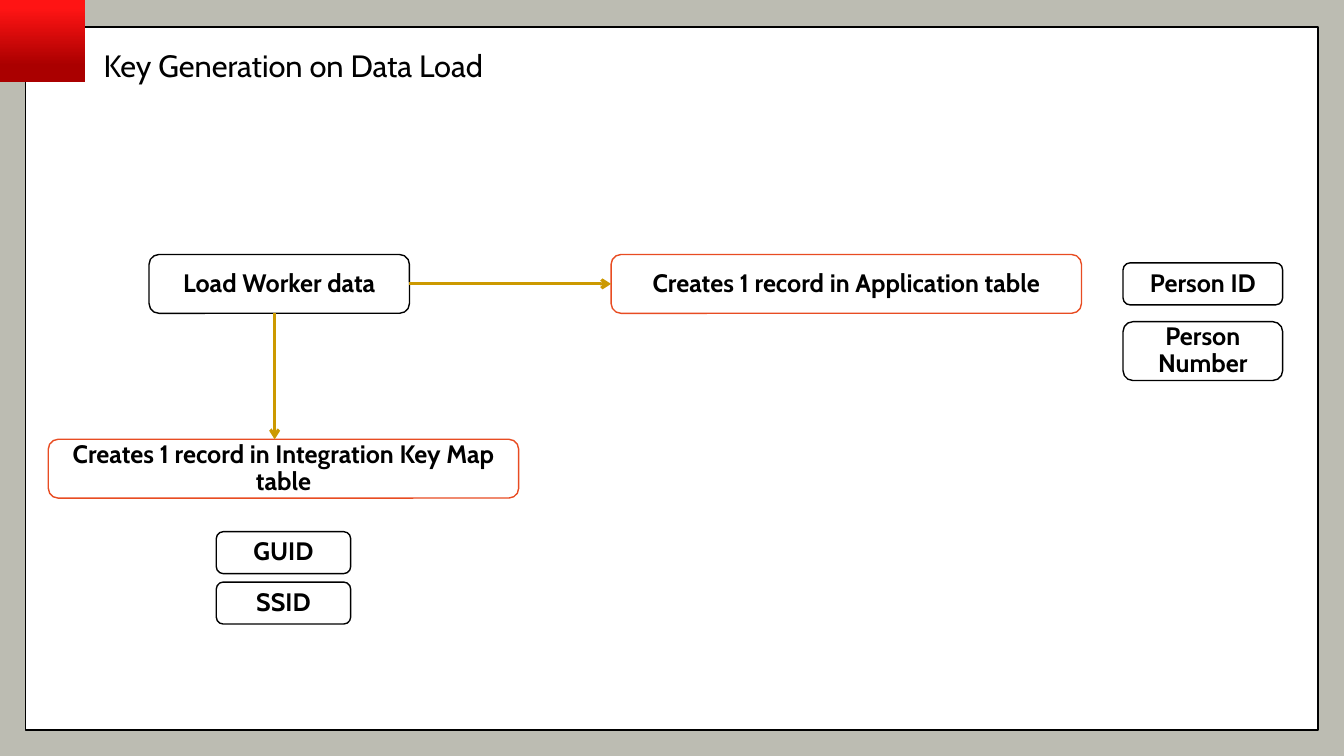
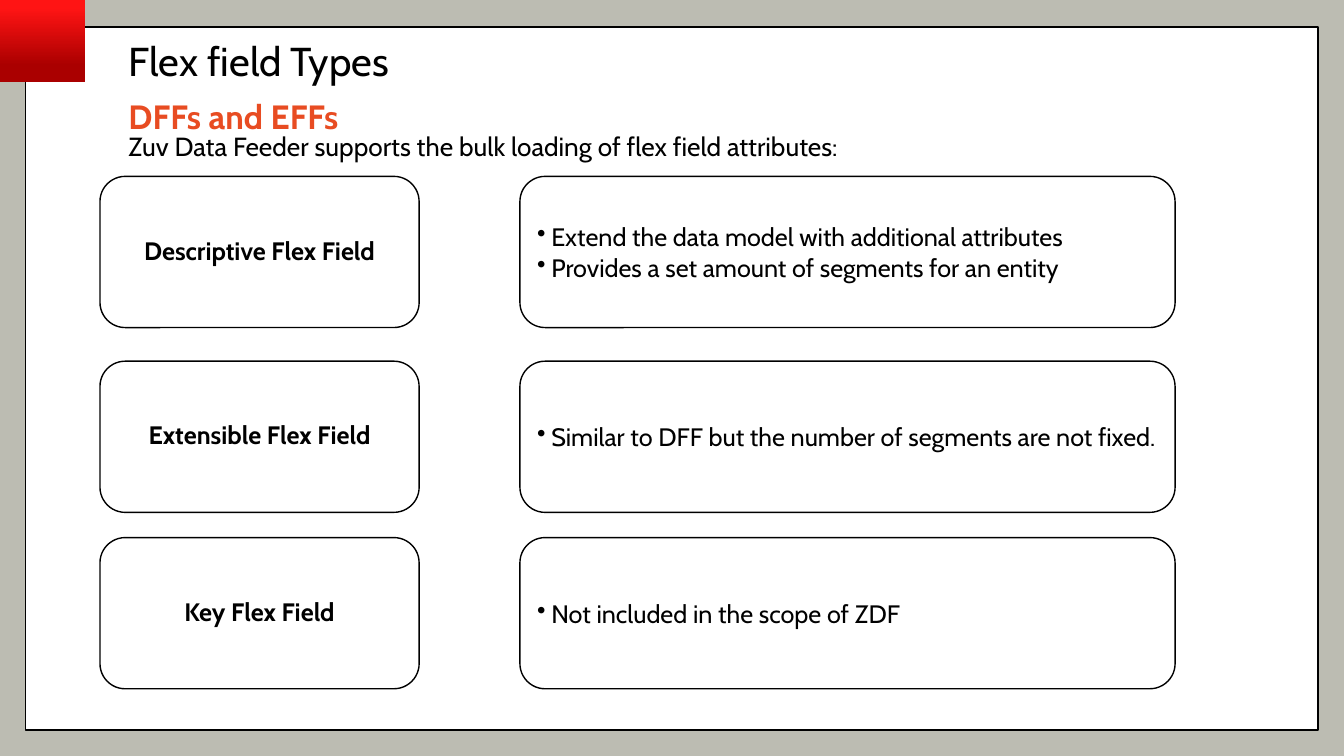
from dataclasses import dataclass

from pptx import Presentation, util as u
from pptx.dml.color import RGBColor
from pptx.enum import shapes, text
from pptx.oxml.ns import qn
from lxml import etree

# The slide is a grid of 160 columns by 90 rows, twelve to the inch.
COLS, ROWS = 160, 90
FONT = "Cabin"
COLORS = {
    "backdrop": "BCBCB2",
    "panel": "FFFFFF",
    "ink": "000000",
    "accent": "E84C22",
    "arrow": "CC9900",
    "red_dark": "AA0000",
    "red_light": "FF1414",
}


@dataclass(frozen=True)
class Box:
    label: str
    col: float
    row: float
    cols: float
    rows: float
    outline: str = "ink"


@dataclass(frozen=True)
class Arrow:
    start: tuple[float, float]
    end: tuple[float, float]


@dataclass(frozen=True)
class Heading:
    """One line of text, centred vertically on the given row."""
    label: str
    col: float
    mid_row: float
    size: float
    color: str = "ink"
    bold: bool = False


@dataclass(frozen=True)
class FlexField:
    name: str
    row: float
    points: tuple[str, ...]


def grid(n: float) -> int:
    return u.Inches(n / 12)


def rgb(name: str) -> RGBColor:
    return RGBColor.from_string(COLORS[name])


def style_text(tf, size: float, color: str = "ink", bold: bool = False,
               align=text.PP_ALIGN.LEFT, spacing: float = 0.9) -> None:
    tf.word_wrap = True
    tf.vertical_anchor = text.MSO_ANCHOR.MIDDLE
    for p in tf.paragraphs:
        p.alignment = align
        p.line_spacing = spacing
        for r in p.runs:
            r.font.name = FONT
            r.font.size = u.Pt(size)
            r.font.bold = bold
            r.font.color.rgb = rgb(color)


def add_outlined(s, kind, box: Box):
    sp = s.shapes.add_shape(kind, *map(grid, (box.col, box.row, box.cols, box.rows)))
    sp.shadow.inherit = False
    sp.fill.solid()
    sp.fill.fore_color.rgb = rgb("panel")
    sp.line.color.rgb = rgb(box.outline)
    sp.line.width = u.Pt(1)
    sp.text_frame.text = box.label
    return sp


def add_label_box(s, box: Box) -> None:
    sp = add_outlined(s, shapes.MSO_SHAPE.ROUNDED_RECTANGLE, box)
    style_text(sp.text_frame, 18, bold=True, align=text.PP_ALIGN.CENTER)


def add_bullet_box(s, box: Box) -> None:
    sp = add_outlined(s, shapes.MSO_SHAPE.ROUNDED_RECTANGLE, box)
    tf = sp.text_frame
    tf.margin_right = u.Inches(0.05)
    style_text(tf, 18, spacing=1.0)
    for p in tf.paragraphs:
        props = p._p.get_or_add_pPr()
        props.set("marL", str(u.Inches(0.14)))
        props.set("indent", str(-u.Inches(0.14)))
        etree.SubElement(props, qn("a:buChar")).set("char", "•")


def add_heading(s, heading: Heading) -> None:
    rows = 6
    sp = s.shapes.add_textbox(grid(heading.col), grid(heading.mid_row - rows / 2),
                              grid(COLS - heading.col - 5), grid(rows))
    tf = sp.text_frame
    tf.margin_left = tf.margin_right = tf.margin_top = tf.margin_bottom = 0
    tf.text = heading.label
    style_text(tf, heading.size, heading.color, heading.bold)


def add_arrow(s, arrow: Arrow) -> None:
    line = s.shapes.add_connector(shapes.MSO_CONNECTOR.STRAIGHT,
                                  *map(grid, arrow.start + arrow.end))
    line.line.color.rgb = rgb("arrow")
    line.line.width = u.Pt(2.25)
    etree.SubElement(line.line._get_or_add_ln(), qn("a:tailEnd")).set("type", "arrow")
    etree.SubElement(line._element.spPr, qn("a:effectLst"))


def new_slide(prs):
    """Add a blank slide with the shared backdrop, panel and corner block."""
    s = prs.slides.add_slide(prs.slide_layouts[6])
    s.background.fill.solid()
    s.background.fill.fore_color.rgb = rgb("backdrop")
    add_outlined(s, shapes.MSO_SHAPE.RECTANGLE, Box("", 3.05, 3.2, 153.85, 83.7))

    corner = s.shapes.add_shape(shapes.MSO_SHAPE.RECTANGLE, 0, 0, grid(10.1), grid(9.75))
    corner.shadow.inherit = False
    corner.line.fill.background()
    corner.fill.gradient()
    corner.fill.gradient_angle = 90
    stops = (("red_dark", 0.2), ("red_light", 0.9))
    for stop, (color, position) in zip(corner.fill.gradient_stops, stops):
        stop.color.rgb = rgb(color)
        stop.position = position
    return s


def key_generation_slide(prs) -> None:
    s = new_slide(prs)
    add_heading(s, Heading("Key Generation on Data Load", 12.35, 8, 22))
    load = Box("Load Worker data", 17.75, 30.3, 31, 7)
    application = Box("Creates 1 record in Application table",
                      72.75, load.row, 56, 7, "accent")
    key_map = Box("Creates 1 record in Integration Key Map table",
                  5.75, 52.3, 56, 7, "accent")
    ids = (
        Box("Person ID", 133.7, 31.3, 19, 5),
        Box("Person Number", 133.7, 38.3, 19, 7),
        Box("GUID", 25.75, 63.3, 16, 5),
        Box("SSID", 25.75, 69.3, 16, 5),
    )
    for box in (load, application, key_map, *ids):
        add_label_box(s, box)

    load_mid = load.row + load.rows / 2
    down_col = 32.7
    add_arrow(s, Arrow((down_col, load.row + load.rows), (down_col, key_map.row)))
    add_arrow(s, Arrow((load.col + load.cols, load_mid), (application.col, load_mid)))


def flex_field_slide(prs) -> None:
    s = new_slide(prs)
    headings = (
        Heading("Flex field Types", 15.3, 7.5, 28.8),
        Heading("DFFs and EFFs", 15.3, 14.15, 24, "accent", True),
        Heading("Zuv Data Feeder supports the bulk loading of flex field attributes:",
                15.3, 17.6, 18.7),
    )
    for heading in headings:
        add_heading(s, heading)

    fields = (
        FlexField("Descriptive Flex Field", 21,
                  ("Extend the data model with additional attributes",
                   "Provides a set amount of segments for an entity")),
        FlexField("Extensible Flex Field", 43,
                  ("Similar to DFF but the number of segments are not fixed.",)),
        FlexField("Key Flex Field", 64, ("Not included in the scope of ZDF",)),
    )
    for field in fields:
        add_label_box(s, Box(field.name, 11.9, field.row, 38, 18))
        add_bullet_box(s, Box("\n".join(field.points), 61.9, field.row, 78, 18))


def main() -> None:
    prs = Presentation()
    prs.slide_width, prs.slide_height = grid(COLS), grid(ROWS)
    key_generation_slide(prs)
    flex_field_slide(prs)
    prs.save("out.pptx")


if __name__ == "__main__":
    main()
